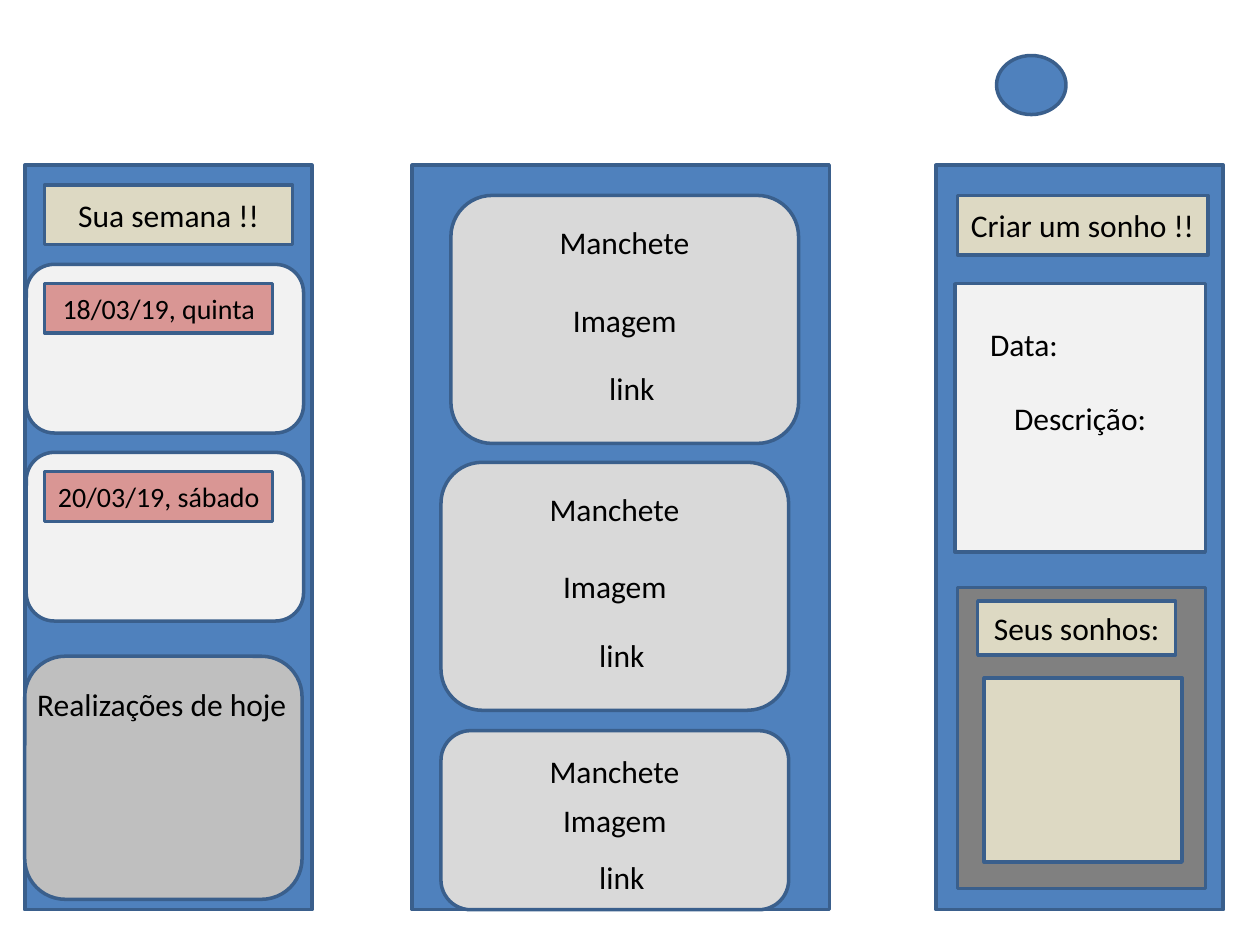
"""Build a page wireframe with week, news and dream columns."""
from dataclasses import dataclass
from typing import Any

from pptx import Presentation, util as u
from pptx.dml.color import RGBColor
from pptx.enum import shapes, text

RECT = shapes.MSO_SHAPE.RECTANGLE
ROUND = shapes.MSO_SHAPE.ROUNDED_RECTANGLE
OVAL = shapes.MSO_SHAPE.OVAL
BLUE, EDGE, BLACK = "4F81BD", "3A5F8C", "000000"
BEIGE, PINK, PALE = "DDD9C3", "D99694", "F2F2F2"
SILVER, LIGHT_GREY, DARK_GREY = "BFBFBF", "D9D9D9", "808080"


@dataclass
class Block:
    """A filled shape, in centimetres, with optional text."""
    left: float
    top: float
    width: float
    height: float
    fill: str
    words: str = ""
    size: int = 18
    kind: Any = RECT
    outlined: bool = True
    indent: float | None = None


@dataclass
class NewsCard:
    """A news card with the layout of its headline and link."""
    left: float
    top: float
    height: float
    headline_drop: float
    link_drop: float
    label_height: float


def color(value: str) -> RGBColor:
    """Turn a hex string into a colour."""
    return RGBColor.from_string(value)


def write(shape: Any, words: str, size: int, align: Any, anchor: Any) -> None:
    """Write one black paragraph into a shape."""
    frame = shape.text_frame
    frame.vertical_anchor = anchor
    paragraph = frame.paragraphs[0]
    paragraph.text = words
    paragraph.alignment = align
    paragraph.font.size = u.Pt(size)
    paragraph.font.name = "Calibri"
    paragraph.font.color.rgb = color(BLACK)


def draw_block(target: Any, block: Block) -> None:
    """Draw a block; an indent puts its text at the top left."""
    shape = target.add_shape(block.kind, u.Cm(block.left), u.Cm(block.top),
                             u.Cm(block.width), u.Cm(block.height))
    shape.shadow.inherit = False
    shape.fill.solid()
    shape.fill.fore_color.rgb = color(block.fill)
    if block.outlined:
        shape.line.color.rgb = color(EDGE)
        shape.line.width = u.Pt(2)
    else:
        shape.line.fill.background()
    if not block.words:
        return
    if block.indent is None:
        write(shape, block.words, block.size, text.PP_ALIGN.CENTER, text.MSO_ANCHOR.MIDDLE)
    else:
        shape.text_frame.margin_left = u.Cm(block.indent)
        write(shape, block.words, block.size, text.PP_ALIGN.LEFT, text.MSO_ANCHOR.TOP)


def draw_card(target: Any, card: NewsCard) -> None:
    """Draw a grouped news card: headline, image and link."""
    group = target.add_group_shape().shapes
    draw_block(group, Block(card.left, card.top, 7.01, card.height, LIGHT_GREY, "Imagem", kind=ROUND))
    for words, shift, drop, width, indent in (
            ("Manchete", 0.81, card.headline_drop, 5.41, 1.38),
            ("link", 0.93, card.link_drop, 5.79, 2.26)):
        draw_block(group, Block(card.left + shift, card.top + drop, width, card.label_height,
                                LIGHT_GREY, words, outlined=False, indent=indent))


def draw_label(target: Any, left: float, top: float, width: float, words: str) -> None:
    """Draw a one-line text box."""
    box = target.add_textbox(u.Cm(left), u.Cm(top), u.Cm(width), u.Cm(1.02))
    box.text_frame.word_wrap = False
    write(box, words, 18, text.PP_ALIGN.LEFT, text.MSO_ANCHOR.TOP)


COLUMNS = [Block(left, 3.33, width, 15.01, BLUE)
           for left, width in ((0.5, 5.79), (18.87, 5.79), (8.31, 8.41))]
DAYS = ["18/03/19, quinta", "20/03/19, sábado"]
WEEK = [Block(0.5, 13.23, 5.59, 4.9, SILVER, kind=ROUND),
        Block(0.9, 3.73, 5, 1.2, BEIGE, "Sua semana !!")]
for row, day in enumerate(DAYS):
    day_top = 5.33 + 3.79 * row
    WEEK += [Block(0.53, day_top, 5.59, 3.4, PALE, kind=ROUND),
             Block(0.9, day_top + 0.39, 4.6, 1, PINK, day, 16)]
NEWS = [NewsCard(9.09, 3.94, 5, 0.43, 3.38, 1.02),
        NewsCard(8.89, 9.32, 5, 0.43, 3.38, 1.02),
        NewsCard(8.89, 14.73, 3.61, 0.3, 2.44, 0.74)]
DREAMS = [Block(19.3, 3.94, 5.05, 1.2, BEIGE, "Criar um sonho !!"),
          Block(19.25, 5.72, 5.05, 5.41, PALE, "Descrição:"),
          Block(19.3, 11.84, 5, 6.07, DARK_GREY),
          Block(19.71, 12.12, 3.99, 1.09, BEIGE, "Seus sonhos:"),
          Block(19.84, 13.67, 3.99, 3.71, BEIGE)]
AVATAR = Block(20.09, 1.12, 1.4, 1.19, BLUE, kind=OVAL)


def main() -> None:
    """Draw the slide and save it."""
    deck = Presentation()
    deck.slide_width, deck.slide_height = u.Cm(25.4), u.Cm(19.05)
    canvas = deck.slides.add_slide(deck.slide_layouts[6]).shapes
    for block in COLUMNS + WEEK:
        draw_block(canvas, block)
    for card in NEWS:
        draw_card(canvas, card)
    for block in DREAMS + [AVATAR]:
        draw_block(canvas, block)
    draw_label(canvas, 19.71, 6.43, 2.03, "Data:")
    draw_label(canvas, 0.5, 13.69, 5.59, "Realizações de hoje")
    deck.save("out.pptx")


main()
